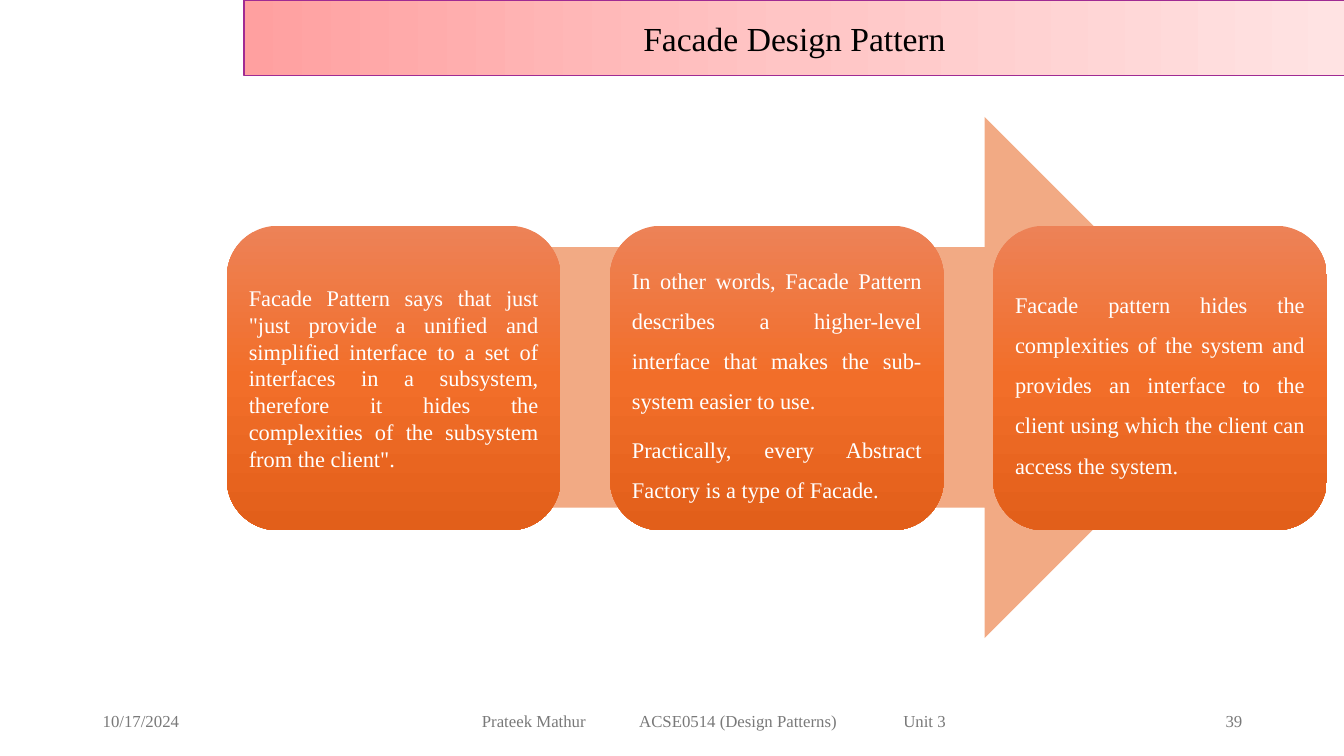
"""Build the Facade Design Pattern slide."""
from copy import deepcopy
from dataclasses import dataclass

from pptx import Presentation
from pptx.dml.color import RGBColor
from pptx.enum.shapes import MSO_SHAPE as SHAPE
from pptx.enum.text import MSO_ANCHOR as ANCHOR, MSO_AUTO_SIZE as FIT, PP_ALIGN as ALIGN
from pptx.oxml.ns import qn
from pptx.util import Inches, Pt

FONT = "Times New Roman"
TITLE_STOPS = ("FFA0A0", "FFC5C5", "FFE3E3")
CARD_STOPS = ("ED8257", "F26E29", "E25F1A")
CARD_LEFT, CARD_STEP = 2.25, 3.8


@dataclass
class Card:
    paragraphs: list[str]
    line_spacing: float = 1.5


@dataclass
class Footer:
    text: str
    left: float
    width: float
    align: ALIGN = ALIGN.LEFT
    inset: float = 0.1
    tabs: tuple[float, ...] = ()


CARDS = [
    Card(['Facade Pattern says that just "just provide a unified and simplified '
          'interface to a set of interfaces in a subsystem, therefore it hides the '
          'complexities of the subsystem from the client".'], 1.0),
    Card(["In other words, Facade Pattern describes a higher-level interface that "
          "makes the sub-system easier to use.",
          "Practically, every Abstract Factory is a type of Facade."]),
    Card(["Facade pattern hides the complexities of the system and provides an "
          "interface to the client using which the client can access the system."]),
]
FOOTERS = [
    Footer("10/17/2024", 0.92, 3),
    Footer("Prateek Mathur\tACSE0514 (Design Patterns)\tUnit 3", 4.42, 5.34,
           inset=0.36, tabs=(1.56, 4.18)),
    Footer("39", 9.42, 3, ALIGN.RIGHT),
]


def rgb(color: str) -> RGBColor:
    return RGBColor.from_string(color)


def place(sp, left: float, top: float, width: float, height: float) -> None:
    box = dict(left=left, top=top, width=width, height=height)
    for name, value in box.items():
        setattr(sp, name, Inches(value))


def fill_gradient(sp, colors: tuple[str, ...], angle: float) -> None:
    sp.fill.gradient()
    sp.fill.gradient_angle = angle
    stops = sp._element.spPr.find(".//" + qn("a:gsLst"))
    stops.insert(1, deepcopy(stops[0]))
    for i, (stop, color) in enumerate(zip(sp.fill.gradient_stops, colors)):
        stop.position = i / (len(colors) - 1)
        stop.color.rgb = rgb(color)


def write(sp, paragraphs: list[str], size: float, color: str, inset: float = 0.1,
          **para_format) -> None:
    tf = sp.text_frame
    frame = dict(word_wrap=True, auto_size=FIT.NONE, vertical_anchor=ANCHOR.MIDDLE,
                 margin_left=Inches(inset), margin_right=Inches(inset))
    for name, value in frame.items():
        setattr(tf, name, value)
    for i, text in enumerate(paragraphs):
        p = tf.add_paragraph() if i else tf.paragraphs[0]
        for name, value in para_format.items():
            setattr(p, name, value)
        r = p.add_run()
        r.text = text
        for name, value in dict(name=FONT, size=Pt(size)).items():
            setattr(r.font, name, value)
        r.font.color.rgb = rgb(color)


def add_title(slide, text: str) -> None:
    sp = slide.shapes.title
    place(sp, 2.42, 0, 10.92, 0.75)
    fill_gradient(sp, TITLE_STOPS, 0)
    sp.line.color.rgb = rgb("A02B93")
    sp.line.width = Pt(1)
    write(sp, [text], 24, "000000", alignment=ALIGN.CENTER)


def add_plain_shape(slide, kind: SHAPE, *box: float):
    sp = slide.shapes.add_shape(kind, *map(Inches, box))
    sp.shadow.inherit = False
    sp.line.fill.background()
    return sp


def add_arrow(slide) -> None:
    sp = add_plain_shape(slide, SHAPE.RIGHT_ARROW, 3.07, 1.16, 9.28, 5.17)
    sp.fill.solid()
    sp.fill.fore_color.rgb = rgb("F2AA84")


def add_card(slide, card: Card, left: float) -> None:
    sp = add_plain_shape(slide, SHAPE.ROUNDED_RECTANGLE, left, 2.24, 3.31, 3.02)
    fill_gradient(sp, CARD_STOPS, 270)
    write(sp, card.paragraphs, 16, "FFFFFF", 0.07, alignment=ALIGN.JUSTIFY,
          line_spacing=card.line_spacing, space_after=Pt(5.6))


def add_footer(slide, footer: Footer) -> None:
    sp = slide.shapes.add_textbox(*map(Inches, (footer.left, 6.95, footer.width, 0.4)))
    write(sp, [footer.text], 12, "797979", footer.inset, alignment=footer.align)
    if footer.tabs:
        pPr = sp.text_frame.paragraphs[0]._p.get_or_add_pPr()
        tab_list = pPr.makeelement(qn("a:tabLst"), {})
        pPr.append(tab_list)
        for tab in footer.tabs:
            stop = {"pos": str(Inches(tab)), "algn": "l"}
            tab_list.append(tab_list.makeelement(qn("a:tab"), stop))


def main() -> None:
    prs = Presentation()
    prs.slide_width, prs.slide_height = Inches(13.33), Inches(7.5)
    slide = prs.slides.add_slide(prs.slide_layouts.get_by_name("Title Only"))
    add_title(slide, "Facade Design Pattern")
    for footer in FOOTERS:
        add_footer(slide, footer)
    add_arrow(slide)
    for i, card in enumerate(CARDS):
        add_card(slide, card, CARD_LEFT + i * CARD_STEP)
    prs.save("out.pptx")


if __name__ == "__main__":
    main()
